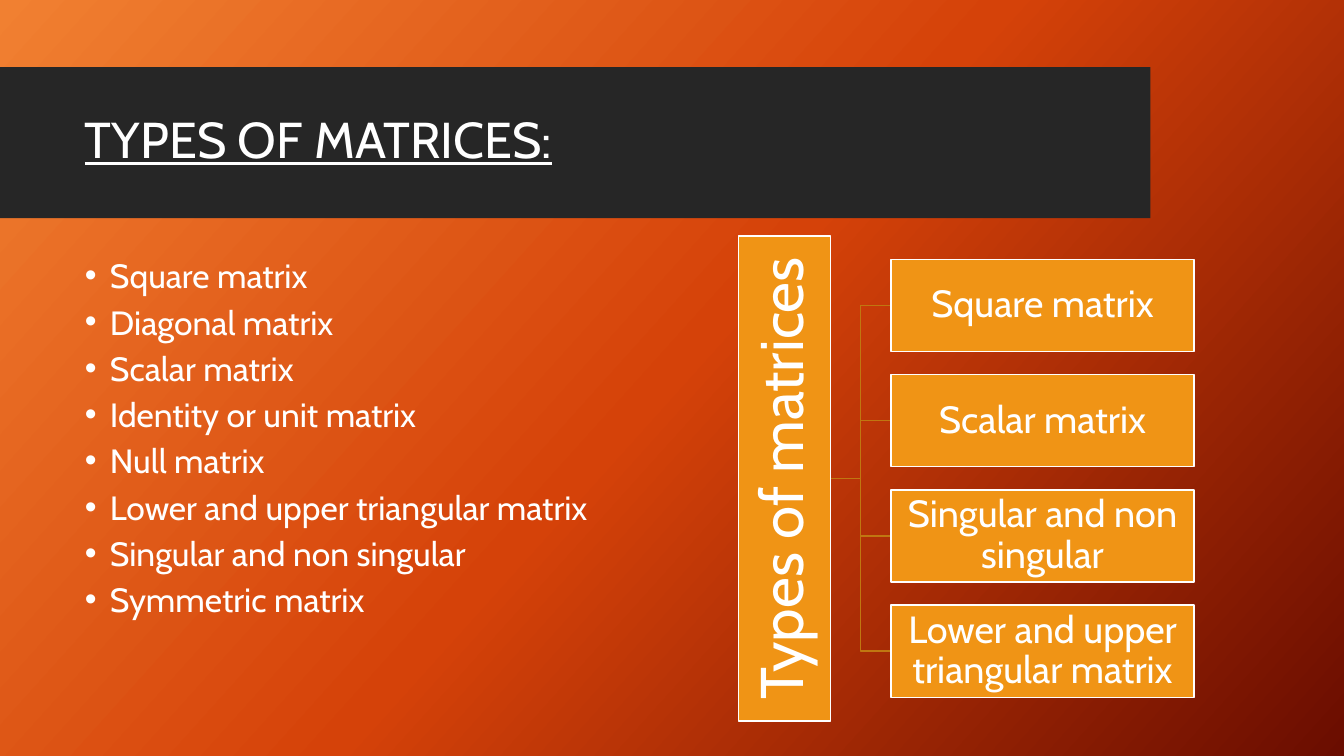
from copy import deepcopy

from lxml import etree
from pptx import Presentation
from pptx import util as u
from pptx.dml.color import RGBColor
from pptx.enum import shapes, text
from pptx.oxml.ns import qn

COLORS = {
    "glow": "F18031",
    "flame": "D54209",
    "ember": "6A0D00",
    "band": "262626",
    "box": "F09415",
    "branch": "C07711",
    "white": "FFFFFF",
}
MATRIX_TYPES = [
    "Square matrix",
    "Diagonal matrix",
    "Scalar matrix",
    "Identity or unit matrix",
    "Null matrix",
    "Lower and upper triangular matrix",
    "Singular and non singular",
    "Symmetric matrix",
]
DIAGRAM_TYPES = [
    "Square matrix",
    "Scalar matrix",
    "Singular and non singular",
    "Lower and upper triangular matrix",
]
ROOT_LENGTH, BOX_HEIGHT, BOX_WIDTH = 346.4, 65.8, 216.3
ROOT_RIGHT, BRANCH_LEFT, DIAGRAM_MIDDLE, BRANCH_PITCH = 593.2, 636.5, 341.7, 82.3


class MatrixSlide:
    font = "Cabin"

    def __init__(self, presentation):
        self.slide = presentation.slides.add_slide(presentation.slide_layouts[5])

    def color(self, name):
        return RGBColor.from_string(COLORS[name])

    def style_paragraph(self, paragraph, size, align, spacing, underline=None):
        paragraph.alignment = align
        paragraph.line_spacing = spacing
        for run in paragraph.runs:
            run.font.name = self.font
            run.font.size = u.Pt(size)
            run.font.underline = underline
            run.font.color.rgb = self.color("white")

    def background(self, names, angle):
        fill = self.slide.background.fill
        fill.gradient()
        fill.gradient_angle = angle
        stop_list = self.slide.element.find(".//" + qn("a:gsLst"))
        stop_list.append(deepcopy(stop_list[-1]))
        for index, (stop, name) in enumerate(zip(fill.gradient_stops, names)):
            stop.color.rgb = self.color(name)
            stop.position = index / (len(names) - 1)

    def rectangle(self, left, top, width, height, fill, line=None):
        shape = self.slide.shapes.add_shape(
            shapes.MSO_SHAPE.RECTANGLE, u.Pt(left), u.Pt(top), u.Pt(width), u.Pt(height)
        )
        shape.shadow.inherit = False
        shape.fill.solid()
        shape.fill.fore_color.rgb = self.color(fill)
        if line:
            shape.line.color.rgb = self.color(line)
            shape.line.width = u.Pt(1)
        else:
            shape.line.fill.background()
        return shape

    def title(self, wording, left, top, width, height):
        title = self.slide.shapes.title
        title.left, title.top = u.Pt(left), u.Pt(top)
        title.width, title.height = u.Pt(width), u.Pt(height)
        frame = title.text_frame
        frame.text = wording
        frame.auto_size = text.MSO_AUTO_SIZE.NONE
        frame.vertical_anchor = text.MSO_ANCHOR.MIDDLE
        self.style_paragraph(frame.paragraphs[0], 36, text.PP_ALIGN.LEFT, 0.9, True)

    def title_band(self, left, top, width, height):
        band = self.rectangle(left, top, width, height, "band")
        self.slide.shapes.title.element.addprevious(band.element)

    def bullets(self, items, left, top, width, height):
        box = self.slide.shapes.add_textbox(u.Pt(left), u.Pt(top), u.Pt(width), u.Pt(height))
        frame = box.text_frame
        frame.word_wrap = True
        frame.text = "\n".join(items)
        for index, paragraph in enumerate(frame.paragraphs):
            properties = paragraph._p.get_or_add_pPr()
            properties.set("marL", str(u.Pt(18)))
            properties.set("indent", str(u.Pt(-18)))
            bullet_font = etree.SubElement(properties, qn("a:buFont"))
            bullet_font.set("typeface", "Arial")
            etree.SubElement(properties, qn("a:buChar")).set("char", "•")
            paragraph.space_before = u.Pt(10 if index else 0)
            self.style_paragraph(paragraph, 24, text.PP_ALIGN.LEFT, 0.8)

    def branch(self, left, start, right, end):
        middle = (left + right) / 2
        builder = self.slide.shapes.build_freeform(u.Pt(left), u.Pt(start))
        corners = [(middle, start), (middle, end), (right, end)]
        builder.add_line_segments([(u.Pt(x), u.Pt(y)) for x, y in corners], close=False)
        shape = builder.convert_to_shape()
        shape.shadow.inherit = False
        shape.fill.background()
        shape.line.color.rgb = self.color("branch")
        shape.line.width = u.Pt(1)

    def node(self, wording, center_x, center_y, width, height, size, inset, rotation=0):
        shape = self.rectangle(
            center_x - width / 2, center_y - height / 2, width, height, "box", "white"
        )
        shape.rotation = rotation
        frame = shape.text_frame
        frame.margin_left = frame.margin_right = u.Pt(inset)
        frame.margin_top = frame.margin_bottom = u.Pt(inset)
        frame.word_wrap = True
        frame.vertical_anchor = text.MSO_ANCHOR.MIDDLE
        frame.text = wording
        self.style_paragraph(frame.paragraphs[0], size, text.PP_ALIGN.CENTER, 0.9)


def main():
    presentation = Presentation()
    presentation.slide_width, presentation.slide_height = u.Pt(960), u.Pt(540)
    page = MatrixSlide(presentation)
    page.background(["glow", "flame", "ember"], 318)
    page.title("TYPES OF MATRICES:", 53.5, 59, 756.5, 85)
    page.title_band(0, 48, 821.8, 107.8)
    page.bullets(MATRIX_TYPES, 53.5, 184.3, 440, 283.5)

    middle_index = (len(DIAGRAM_TYPES) - 1) / 2
    centers = [
        DIAGRAM_MIDDLE + (index - middle_index) * BRANCH_PITCH
        for index in range(len(DIAGRAM_TYPES))
    ]
    for center in centers:
        page.branch(ROOT_RIGHT, DIAGRAM_MIDDLE, BRANCH_LEFT, center)
    page.node("Types of matrices", ROOT_RIGHT - BOX_HEIGHT / 2, DIAGRAM_MIDDLE,
              ROOT_LENGTH, BOX_HEIGHT, 43, 2.2, 270)
    for wording, center in zip(DIAGRAM_TYPES, centers):
        page.node(wording, BRANCH_LEFT + BOX_WIDTH / 2, center,
                  BOX_WIDTH, BOX_HEIGHT, 27, 1.4)
    presentation.save("out.pptx")


if __name__ == "__main__":
    main()
